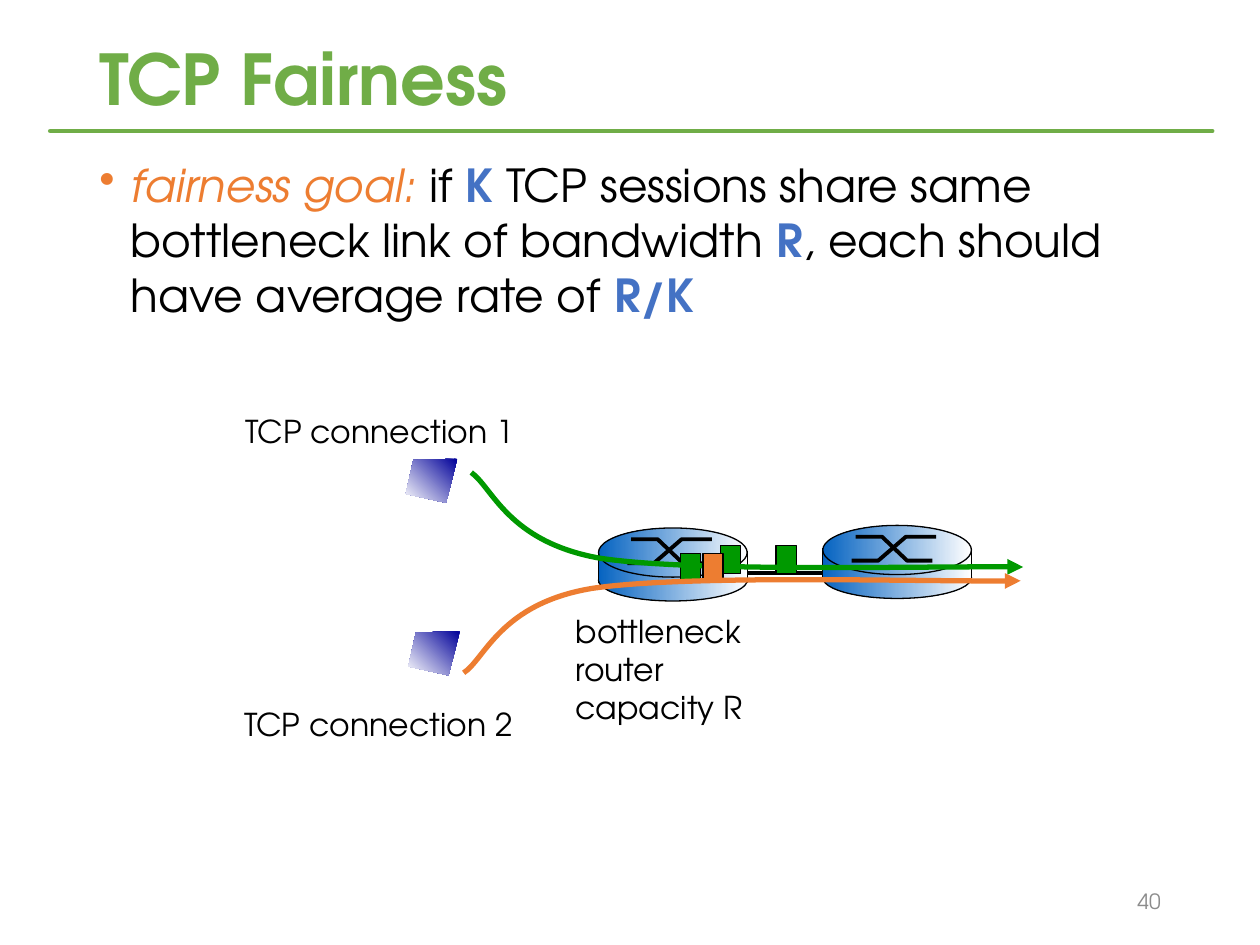
import lxml.etree
import pptx
import pptx.dml.color
import pptx.enum.shapes
import pptx.enum.text
import pptx.oxml.ns
import pptx.util

SCALE = 9144
FONT = "TeX Gyre Adventor"
COLORS = {
    "black": "000000", "white": "FFFFFF", "title": "70AD47", "orange": "ED7D31",
    "key": "4472C4", "packet": "009900", "router": "0563C1", "host": "000099",
    "number": "8C8C8C",
}
SHAPES = pptx.enum.shapes.MSO_SHAPE
ALIGN = pptx.enum.text.PP_ALIGN
ANCHOR = pptx.enum.text.MSO_ANCHOR
qn = pptx.oxml.ns.qn


def emu(*lengths):
    """Turn px lengths into EMU."""
    return [pptx.util.Emu(length * SCALE) for length in lengths]


def rgb(name):
    """Look up a named colour."""
    return pptx.dml.color.RGBColor.from_string(COLORS[name])


def set_line(item, color, width):
    """Outline a shape or connector, or remove its outline when width is 0."""
    if width:
        item.line.color.rgb = rgb(color)
        item.line.width = pptx.util.Pt(width)
    else:
        item.line.fill.background()


def set_gradient(shape, color, angle):
    """Fade a shape from a colour to white."""
    shape.fill.gradient()
    shape.fill.gradient_angle = angle
    for stop, name in zip(shape.fill.gradient_stops, (color, "white")):
        stop.color.rgb = rgb(name)


def add_line(page, start, end, color, width):
    """Draw a straight line."""
    line = page.shapes.add_connector(
        pptx.enum.shapes.MSO_CONNECTOR.STRAIGHT, *emu(*start, *end))
    set_line(line, color, width)
    lxml.etree.SubElement(line.element.spPr, qn("a:effectLst"))
    return line


def add_outline(page, points, closed=False):
    """Build a freeform through the points."""
    builder = page.shapes.build_freeform(*points[0], scale=SCALE)
    builder.add_line_segments(points[1:], close=closed)
    shape = builder.convert_to_shape()
    shape.shadow.inherit = False
    if not closed:
        shape.fill.background()
    return shape


def add_shape(page, kind, box, width=0.75):
    """Add a preset shape with a black outline."""
    shape = page.shapes.add_shape(kind, *emu(*box))
    shape.shadow.inherit = False
    set_line(shape, "black", width)
    return shape


def add_text(page, box, lines, size, color, wrap=True, anchor=ANCHOR.TOP):
    """Place a text box holding one paragraph for each line."""
    frame = page.shapes.add_textbox(*emu(*box)).text_frame
    frame.text = "\n".join(lines)
    frame.word_wrap = wrap
    frame.vertical_anchor = anchor
    if not wrap:
        frame.auto_size = pptx.enum.text.MSO_AUTO_SIZE.SHAPE_TO_FIT_TEXT
    for para in frame.paragraphs:
        para.font.name = FONT
        para.font.size = pptx.util.Pt(size)
        para.font.color.rgb = rgb(color)
    return frame.paragraphs[0]


def add_header(page, box):
    """Write the title above its rule."""
    left, top, width, height = box
    rule = add_line(page, (left - 29, top + 75), (left + width + 31, top + 75), "title", 2.75)
    rule.line._get_or_add_ln().set("cap", "rnd")
    para = add_text(page, box, ["TCP Fairness"], 40, "title", anchor=ANCHOR.MIDDLE)
    para.font.bold = True
    para.line_spacing = 0.9


def add_goal(page, box):
    """Write the bulleted fairness goal with its key terms."""
    para = add_text(page, box, [""], 26, "black")
    properties = para._p.get_or_add_pPr()
    properties.set("marL", str(25 * SCALE))
    properties.set("indent", str(-25 * SCALE))
    bullet_color = lxml.etree.Element(qn("a:buClr"))
    lxml.etree.SubElement(bullet_color, qn("a:srgbClr")).set("val", COLORS["orange"])
    bullet = lxml.etree.Element(qn("a:buChar"))
    bullet.set("char", "•")
    properties.insert(0, bullet_color)
    properties.insert(1, bullet)
    parts = [
        ("fairness goal: ", "orange"), ("if ", "black"), ("K", "key"),
        (" TCP sessions share same bottleneck link of bandwidth ", "black"),
        ("R", "key"), (", each should have average rate of ", "black"), ("R/K", "key"),
    ]
    for text, color in parts:
        span = para.add_run()
        span.text = text
        span.font.color.rgb = rgb(color)
        span.font.italic = color == "orange"
        span.font.bold = color == "key"


def add_router(page, left, top):
    """Draw a router as a cylinder with a crossed switch sign."""
    parts = [(SHAPES.OVAL, 25, 33, 0.75), (SHAPES.RECTANGLE, 22, 20, 0), (SHAPES.OVAL, 0, 39, 0.75)]
    for kind, drop, height, width in parts:
        shape = add_shape(page, kind, (left, top + drop, 118, height), width)
        set_gradient(shape, "router", 0)
    for start, end, steps in ((28, 9, (23, 44, 66, 90)), (9, 28, (26, 47, 67, 87))):
        heights = (start, start, end, end)
        sign = add_outline(page, [(left + x, top + y) for x, y in zip(steps, heights)])
        set_line(sign, "black", 2.25)
    for x in (left, left + 118):
        add_line(page, (x, top + 18), (x, top + 44), "black", 0.75)


def add_host(page, left, top):
    """Draw a tilted host screen."""
    corners = [(41, 0), (6, 1), (0, 28), (32, 35)]
    host = add_outline(page, [(left + x, top + y) for x, y in corners], closed=True)
    set_line(host, "host", 0)
    set_gradient(host, "host", 225)


def add_packet(page, left, top, color):
    """Draw one packet."""
    packet = add_shape(page, SHAPES.RECTANGLE, (left, top, 16, 22))
    packet.fill.solid()
    packet.fill.fore_color.rgb = rgb(color)


def add_flow(page, left, top, steps, color):
    """Draw a curved flow with an arrowhead, three steps to each curve."""
    flow = add_outline(page, [(left + x, top + y) for x, y in steps])
    segments = list(flow.element.iter(qn("a:lnTo")))
    for first in range(0, len(segments), 3):
        outline = segments[first].getparent()
        curve = lxml.etree.SubElement(outline, qn("a:cubicBezTo"))
        for segment in segments[first:first + 3]:
            curve.append(segment[0])
            outline.remove(segment)
    set_line(flow, color, 3)
    head = lxml.etree.SubElement(flow.line._get_or_add_ln(), qn("a:tailEnd"))
    head.set("type", "triangle")


def add_network(page, left, top):
    """Draw two connections sharing the bottleneck router."""
    add_line(page, (left + 408, top + 133), (left + 470, top + 133), "black", 2.25)
    add_router(page, left + 291, top + 97)
    add_router(page, left + 469, top + 95)
    for x, y in ((432, 111), (356, 117), (388, 111)):
        add_packet(page, left + x, top + y, "packet")
    add_text(page, (left + 1, top, 236, 40), ["TCP connection 1"], 18, "black", wrap=False)
    add_text(page, (left + 263, top + 159, 154, 101),
             ["bottleneck", "router", "capacity R"], 18, "black", wrap=False)
    add_flow(page, left + 190, top + 53,
             [(0, 0), (17, 12), (29, 55), (102, 68), (174, 79), (368, 74), (438, 75)], "packet")
    add_packet(page, left + 374, top + 117, "orange")
    add_flow(page, left + 184, top + 212,
             [(0, 0), (17, -11), (29, -55), (102, -67), (176, -78), (372, -72), (442, -73)], "orange")
    add_text(page, (left, top + 233, 236, 40), ["TCP connection 2"], 18, "black", wrap=False)
    add_host(page, left + 138, top + 42)
    add_host(page, left + 140, top + 179)


def add_number(page, box):
    """Write the page number."""
    para = add_text(page, box, ["40"], 12, "number", anchor=ANCHOR.MIDDLE)
    para.alignment = ALIGN.RIGHT


def main():
    """Build the slide and save it."""
    deck = pptx.Presentation()
    deck.slide_width, deck.slide_height = emu(1000, 750)
    page = deck.slides.add_slide(deck.slide_layouts[6])
    add_header(page, (69, 29, 862, 74))
    add_goal(page, (69, 120, 862, 601))
    add_network(page, 184, 322)
    add_number(page, (706, 695, 225, 40))
    deck.save("out.pptx")


if __name__ == "__main__":
    main()
